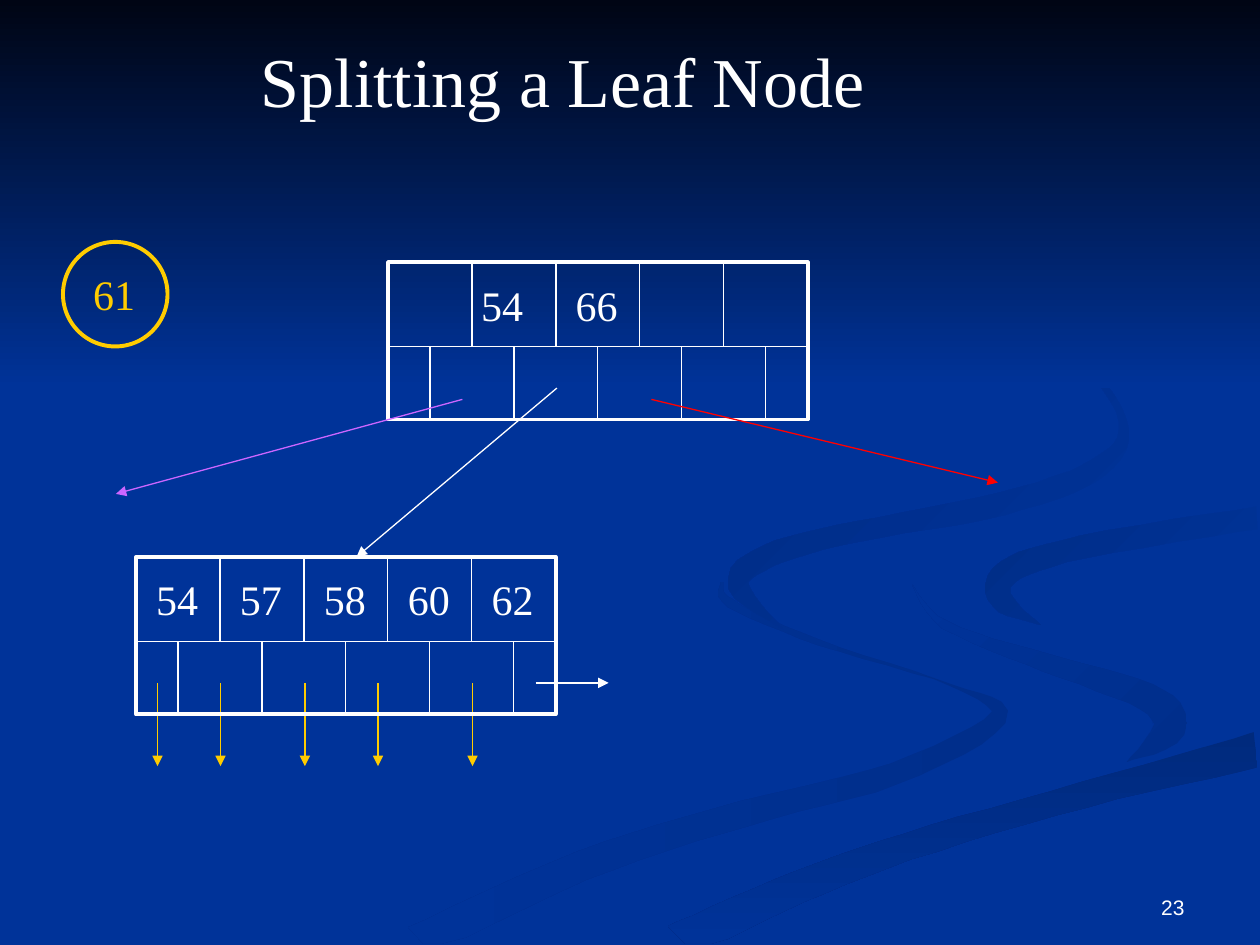
from math import hypot

from lxml import etree
from pptx import Presentation
from pptx.dml.color import RGBColor
from pptx.enum import shapes, text
from pptx.oxml.ns import qn
from pptx.util import Inches, Pt

WHITE, GOLD, BLUE = "FFFFFF", "FFCC00", "003399"
SERIF = "Times New Roman"
WIDE, HIGH, ROW = 3.33, 1.25, 0.67
CELL = WIDE / 5
STEPS = 6

# Centre points with half widths, then first colour, last colour, angle
RIBBONS = [
    ([(5.73, 4.62, 0.01), (5.8, 4.79, 0.03), (6.5, 5.1, 0.02),
      (7.55, 5.44, 0.01), (7.92, 5.7, 0.07), (7.1, 6.14, 0.09),
      (5.9, 6.46, 0.1), (4.62, 6.87, 0.12), (3.3, 7.49, 0.14)],
     "002E8B", BLUE, 180),
    ([(7.24, 4.64, 0), (7.5, 4.96, 0.03), (8.3, 5.26, 0.07),
      (9.1, 5.53, 0.11), (9.28, 5.78, 0.13), (8.94, 6.05, 0)],
     "002E8B", BLUE, 225),
    ([(9.98, 5.95, 0.14), (8.6, 6.31, 0.1), (7.2, 6.72, 0.11),
      (6.2, 7.1, 0.13), (5.37, 7.49, 0.15)], "002A7D", BLUE, 90),
    ([(9.98, 4.11, 0.09), (8.6, 4.34, 0.09), (8, 4.54, 0.1),
      (7.95, 4.76, 0.09), (8.26, 4.96, 0)], BLUE, "002D86", 225),
    ([(7.62, 2.33, 0), (8.5, 2.8, 0.03), (8.91, 3.34, 0.03),
      (8.72, 3.71, 0.08), (7.95, 4, 0.09), (6.8, 4.22, 0.08),
      (6.1, 4.41, 0.09), (5.86, 4.65, 0.08), (6.22, 5, 0)],
     BLUE, "002B82", 225),
]


def rgb(code):
    return RGBColor.from_string(code)


def fade(shape, first, last, angle):
    """Give a shape a clockwise-angled two-colour gradient and no outline."""
    shape.shadow.inherit = False
    shape.line.fill.background()
    shape.fill.gradient()
    shape.fill.gradient_angle = (360 - angle) % 360
    for stop, code in zip(shape.fill.gradient_stops, (first, last)):
        stop.color.rgb = rgb(code)


def smooth(knots):
    """Fill in points of a Catmull-Rom curve through the knots."""
    ends = [knots[0], *knots, knots[-1]]
    curve = []
    for quad in zip(ends, ends[1:], ends[2:], ends[3:]):
        for step in range(STEPS):
            t = step / STEPS
            curve.append([
                b + t * ((c - a) + t * ((2 * a - 5 * b + 4 * c - d)
                         + t * (3 * b - a - 3 * c + d))) / 2
                for a, b, c, d in zip(*quad)])
    return curve + [knots[-1]]


def ribbon(slide, knots, *look):
    """Draw a band whose edges lie at the half width from a smooth curve."""
    curve = smooth(knots)
    near, far = [], []
    for i, (x, y, half) in enumerate(curve):
        back, ahead = curve[max(i - 1, 0)], curve[min(i + 1, len(curve) - 1)]
        dx, dy = ahead[0] - back[0], ahead[1] - back[1]
        size = half / hypot(dx, dy)
        for edge, sign in ((near, 1), (far, -1)):
            edge.append((100 * min(x - sign * dy * size, 9.98),
                         100 * min(y + sign * dx * size, 7.49)))
    points = near + far[::-1]
    path = slide.shapes.build_freeform(*points[0], scale=Inches(0.01))
    path.add_line_segments(points[1:], close=True)
    fade(path.convert_to_shape(), *look)


def outline(slide, kind, box, color):
    shape = slide.shapes.add_shape(kind, *map(Inches, box))
    shape.shadow.inherit = False
    shape.fill.background()
    shape.line.color.rgb = rgb(color)
    shape.line.width = Pt(2.25)


def line(slide, start, end, color=WHITE, arrow=False):
    link = slide.shapes.add_connector(
        shapes.MSO_CONNECTOR.STRAIGHT, *map(Inches, start + end))
    link.line.color.rgb = rgb(color)
    link.line.width = Pt(0.75)
    if arrow:
        tail = etree.SubElement(link.line._get_or_add_ln(), qn("a:tailEnd"))
        tail.set("type", "triangle")
    etree.SubElement(link._element.spPr, qn("a:effectLst"))


def write(shape, words, size, color=WHITE, name=SERIF,
          align=text.PP_ALIGN.LEFT, anchor=text.MSO_ANCHOR.TOP, wrap=False):
    frame = shape.text_frame
    frame.text = words
    layout = {"word_wrap": wrap, "vertical_anchor": anchor,
              "auto_size": text.MSO_AUTO_SIZE.NONE}
    for key, value in layout.items():
        setattr(frame, key, value)
    para = frame.paragraphs[0]
    para.alignment = align
    for key, value in {"size": Pt(size), "name": name}.items():
        setattr(para.font, key, value)
    para.font.color.rgb = rgb(color)


def label(slide, box, words, size=24, **look):
    write(slide.shapes.add_textbox(*map(Inches, box)), words, size, **look)


def node(slide, left, top):
    """Draw a row of five keys above a row of pointers shifted by half a cell."""
    mid, low = top + ROW, top + HIGH
    outline(slide, shapes.MSO_SHAPE.RECTANGLE, (left, top, WIDE, HIGH), WHITE)
    line(slide, (left, mid), (left + WIDE, mid))
    for i in range(5):
        if i:
            x = left + i * CELL
            line(slide, (x, top), (x, mid))
        x = left + (i + 0.5) * CELL
        line(slide, (x, mid), (x, low))


def main():
    deck = Presentation()
    deck.slide_width, deck.slide_height = Inches(10), Inches(7.5)
    slide = deck.slides.add_slide(deck.slide_layouts[5])
    slide.background.fill.solid()
    slide.background.fill.fore_color.rgb = rgb(BLUE)

    for item in RIBBONS:
        ribbon(slide, *item)
    band = slide.shapes.add_shape(
        shapes.MSO_SHAPE.RECTANGLE, 0, 0, deck.slide_width, Inches(3.08))
    fade(band, "000514", BLUE, 90)

    title = slide.shapes.title
    slide.shapes._spTree.append(title._element)  # in front of the band
    place = {"left": 1.97, "top": 0.25, "width": 5.7, "height": 0.77}
    for key, value in place.items():
        setattr(title, key, Inches(value))
    write(title, "Splitting a Leaf Node", 40)
    label(slide, (7.17, 6.83, 2.33, 0.52), "23", 12, name="Arial", wrap=True,
          align=text.PP_ALIGN.RIGHT, anchor=text.MSO_ANCHOR.BOTTOM)

    outline(slide, shapes.MSO_SHAPE.OVAL, (0.5, 1.92, 0.83, 0.83), GOLD)
    label(slide, (0.64, 2.08, 0.57, 0.5), "61", color=GOLD)

    node(slide, 3.08, 2.08)
    for x, key in ((3.72, "54"), (4.47, "66")):
        label(slide, (x, 2.17, 0.57, 0.5), key)

    for x in (1.25, 1.75, 2.42, 3, 3.75):
        line(slide, (x, 5.42), (x, 6.08), GOLD, True)
    node(slide, 1.08, 4.42)
    for i, key in enumerate(("54", "57", "58", "60", "62")):
        label(slide, (1.14 + i * CELL, 4.5, 0.57, 0.5), key)

    for start, end, color in (
            ((4.25, 5.42), (4.83, 5.42), WHITE),
            ((4.42, 3.08), (2.83, 4.42), WHITE),
            ((3.67, 3.17), (0.92, 3.92), "CC66FF"),
            ((5.17, 3.17), (7.92, 3.83), "FF0000")):
        line(slide, start, end, color, True)

    deck.save("out.pptx")


if __name__ == "__main__":
    main()
